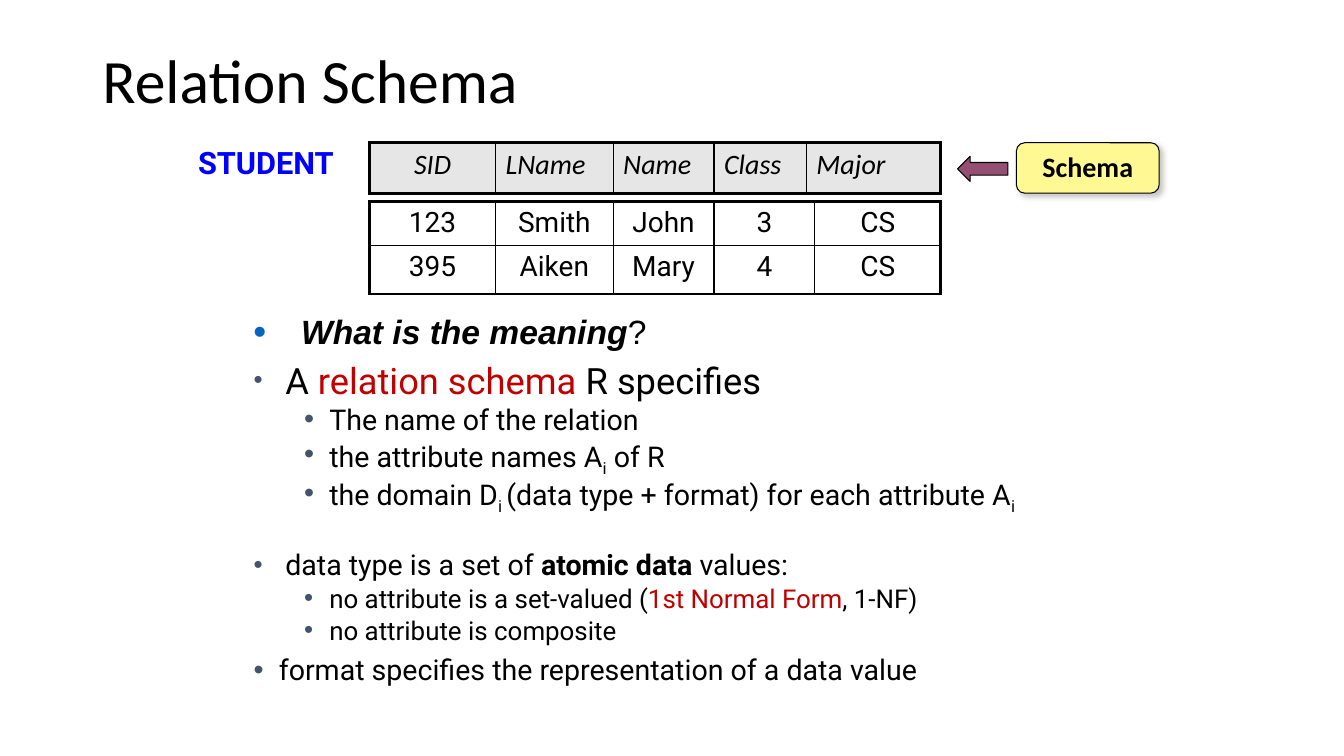
from lxml.etree import SubElement
from pptx import Presentation
from pptx.dml.color import RGBColor
from pptx.enum.shapes import MSO_SHAPE
from pptx.enum.text import MSO_ANCHOR, MSO_AUTO_SIZE, PP_ALIGN
from pptx.oxml.ns import qn
from pptx.util import Inches, Pt

COLORS = {
    "text": "000000", "accent": "C00000", "relation": "0000FF",
    "bullet": "44546A", "question_bullet": "0563C1", "heading": "E7E6E6",
    "arrow": "954F72", "schema": "FFF893", "shadow": "808080",
}

TITLE = "Relation Schema"
RELATION = "STUDENT"
ATTRIBUTES = [["SID", "LName", "Name", "Class", "Major"]]
TUPLES = [["123", "Smith", "John", "3", "CS"],
          ["395", "Aiken", "Mary", "4", "CS"]]
QUESTION = [(" ", ""), ("What is the meaning", "bold italic"), ("?", "")]

# level, size, space before, runs of (text, style)
POINTS = [
    (0, 25.9, 10, [(" ", "small"), ("A ", ""), ("relation schema ", "accent"), ("R specifies", "")]),
    (1, 20.4, 5, [("The name of the relation", "")]),
    (1, 20.4, 5, [("the attribute names A", ""), ("i", "sub"), (" of R", "")]),
    (1, 20.4, 5, [("the domain D", ""), ("i ", "sub"),
                  ("(data type + format) for each attribute A", ""), ("i", "sub")]),
    (0, 20.4, 30, [(" ", "small"), ("data type is a set of ", ""), ("atomic data ", "bold"), ("values:", "")]),
    (1, 18.5, 5, [("no attribute is a set-valued (", ""), ("1st Normal Form", "accent"), (", 1-NF)", "")]),
    (1, 18.5, 5, [("no attribute is composite", "")]),
    (0, 20.4, 10, [("format specifies the representation of a data value", "")]),
]

GRID = 1 / 12
TABLE_LEFT, SCHEMA_TOP = 44, 17
HEADING_COLUMNS, HEADING_ROWS = [15, 14, 12, 11, 16], [6]
TUPLE_COLUMNS, TUPLE_ROWS = [15, 14, 12, 12, 15], [5.2, 5.8]


def units(*counts):
    return [Inches(count * GRID) for count in counts]


def rgb(name):
    return RGBColor.from_string(COLORS[name])


def set_font(font, face, size, color="text"):
    font.name, font.size = face, Pt(size)
    font.color.rgb = rgb(color)


def add_bullet(paragraph, margin, indent, color, percent=100):
    props = paragraph._p.get_or_add_pPr()
    props.set("marL", str(Inches(margin)))
    props.set("indent", str(-Inches(indent)))
    tint = SubElement(props, qn("a:buClr"))
    SubElement(tint, qn("a:srgbClr"), val=COLORS[color])
    SubElement(props, qn("a:buSzPct"), val=str(percent * 1000))
    SubElement(props, qn("a:buFont"), typeface="Arial")
    SubElement(props, qn("a:buChar"), char="•")


def add_runs(paragraph, runs):
    for text, style in runs:
        run = paragraph.add_run()
        run.text = text
        if "bold" in style:
            run.font.bold = True
        if "italic" in style:
            run.font.italic = True
        if style == "small":
            run.font.size = Pt(18.5)
        if style == "accent":
            run.font.color.rgb = rgb("accent")
        if style == "sub":
            run.font._element.set("baseline", "-25000")


def add_borders(cell, outer_edges):
    props = cell._tc.get_or_add_tcPr()
    for side, outer in zip("LRTB", outer_edges):
        width = Pt(2.25 if outer else 1)
        border = SubElement(props, qn(f"a:ln{side}"), w=str(width))
        paint = SubElement(border, qn("a:solidFill"))
        SubElement(paint, qn("a:srgbClr"), val=COLORS["text"])


def add_grid(slide, top, columns, rows, content, face, heading=False):
    box = units(TABLE_LEFT, top, sum(columns), sum(rows))
    table = slide.shapes.add_table(len(rows), len(columns), *box).table
    table.first_row = table.horz_banding = False
    for column, width in zip(table.columns, units(*columns)):
        column.width = width
    for row, height in zip(table.rows, units(*rows)):
        row.height = height
    for r, values in enumerate(content):
        for c, value in enumerate(values):
            cell = table.cell(r, c)
            cell.text = value
            paragraph = cell.text_frame.paragraphs[0]
            centred = not heading or c == 0
            paragraph.alignment = PP_ALIGN.CENTER if centred else PP_ALIGN.LEFT
            set_font(paragraph.font, face, 20)
            paragraph.font.italic = heading
            add_borders(cell, (c == 0, c == len(columns) - 1, r == 0, r == len(rows) - 1))
            if heading:
                cell.fill.solid()
                cell.fill.fore_color.rgb = rgb("heading")
            else:
                cell.fill.background()


def add_block(slide, preset, box, color):
    block = slide.shapes.add_shape(preset, *units(*box))
    block.shadow.inherit = False
    block.fill.solid()
    block.fill.fore_color.rgb = rgb(color)
    block.line.color.rgb = rgb("text")
    block.line.width = Pt(0.75)
    return block


def place(placeholder, box, anchor):
    placeholder.left, placeholder.top, placeholder.width, placeholder.height = units(*box)
    frame = placeholder.text_frame
    frame.auto_size, frame.vertical_anchor = MSO_AUTO_SIZE.NONE, anchor
    return frame


def main():
    deck = Presentation()
    deck.slide_width, deck.slide_height = units(160, 90)
    slide = deck.slides.add_slide(deck.slide_layouts[1])

    title = place(slide.shapes.title, (11, 1.3, 138, 17.4), MSO_ANCHOR.MIDDLE)
    title.text = TITLE
    heading = title.paragraphs[0]
    heading.alignment, heading.line_spacing = PP_ALIGN.LEFT, 0.9
    set_font(heading.font, "Calibri", 44)

    body = place(slide.placeholders[1], (29, 43, 108, 40), MSO_ANCHOR.TOP)
    for index, (level, size, before, runs) in enumerate(POINTS):
        point = body.add_paragraph() if index else body.paragraphs[0]
        point.level, point.line_spacing, point.space_before = level, 0.8, Pt(before)
        add_bullet(point, 0.25 + 0.5 * level, 0.25, "bullet")
        set_font(point.font, "Roboto", size)
        add_runs(point, runs)

    add_grid(slide, 24, TUPLE_COLUMNS, TUPLE_ROWS, TUPLES, "Roboto")
    add_grid(slide, SCHEMA_TOP, HEADING_COLUMNS, HEADING_ROWS, ATTRIBUTES, "Calibri", heading=True)

    relation = slide.shapes.add_textbox(*units(22.4, SCHEMA_TOP, 20.2, 5.3)).text_frame
    relation.word_wrap = False
    relation.text = RELATION
    label = relation.paragraphs[0]
    label.line_spacing = 0.9
    set_font(label.font, "Roboto", 22, "relation")
    label.font.bold = True

    question_box = slide.shapes.add_textbox(*units(29, 37, 102, 7)).text_frame
    question_box.word_wrap = True
    question = question_box.paragraphs[0]
    question.line_spacing = 0.9
    add_bullet(question, 0.38, 0.38, "question_bullet", 110)
    set_font(question.font, "Arial", 24)
    add_runs(question, QUESTION)

    add_block(slide, MSO_SHAPE.LEFT_ARROW, (114, 18.6, 6, 3), "arrow")
    schema = add_block(slide, MSO_SHAPE.ROUNDED_RECTANGLE, (121, SCHEMA_TOP, 17, 6), "schema")
    effects = schema._element.spPr.find(qn("a:effectLst"))
    shadow = SubElement(effects, qn("a:outerShdw"), blurRad=str(Pt(4)), dist=str(Pt(3)), dir="2700000")
    tint = SubElement(shadow, qn("a:srgbClr"), val=COLORS["shadow"])
    SubElement(tint, qn("a:alpha"), val="43000")
    schema.text_frame.text = "Schema"
    caption = schema.text_frame.paragraphs[0]
    caption.alignment, caption.line_spacing = PP_ALIGN.CENTER, 0.9
    set_font(caption.font, "Calibri", 20)
    caption.font.bold = True

    deck.save("out.pptx")


if __name__ == "__main__":
    main()
